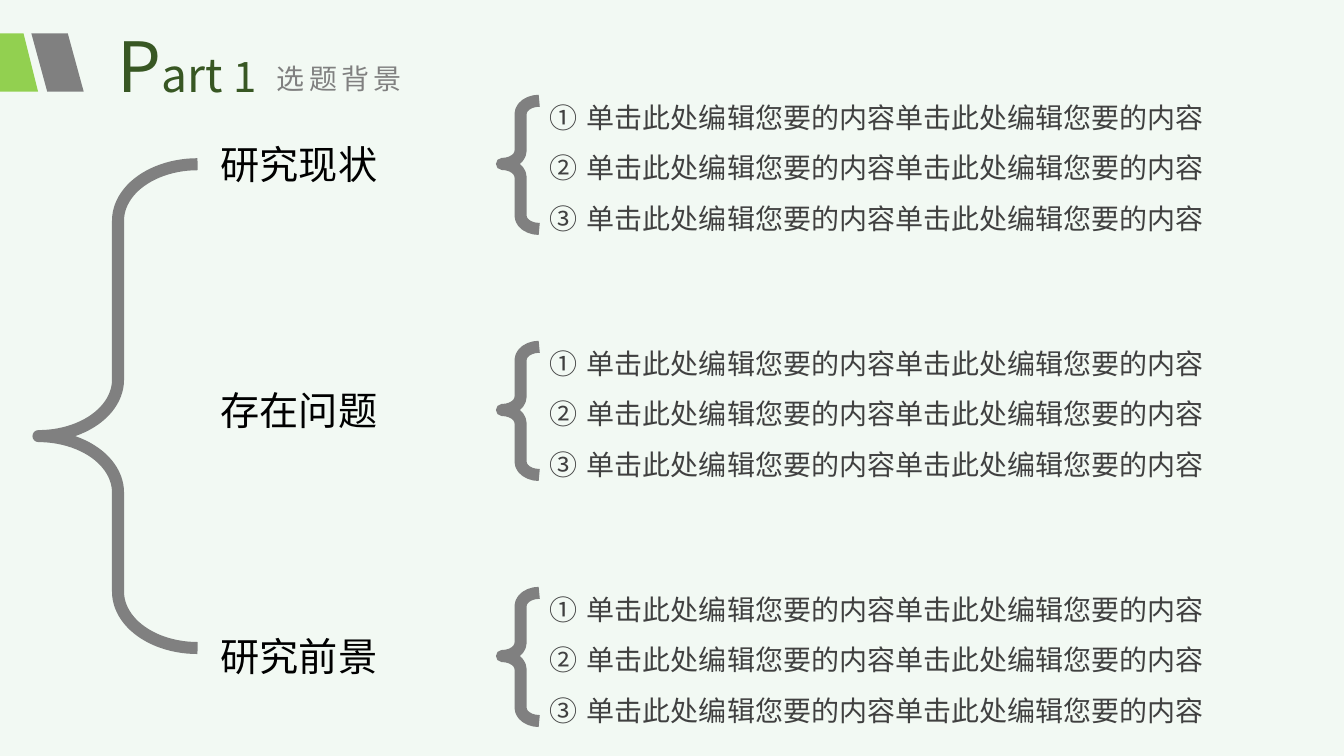
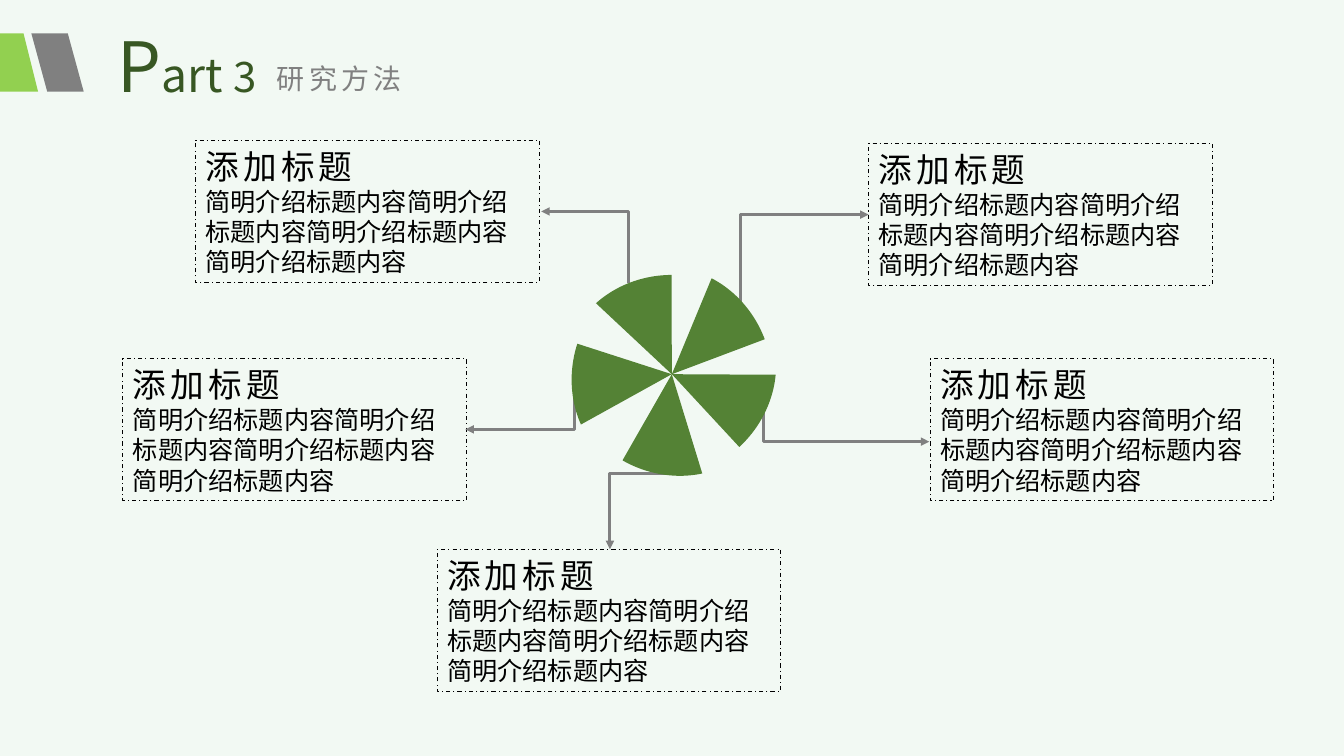
from pptx import Presentation
from pptx.dml.color import RGBColor
from pptx.enum.dml import MSO_LINE_DASH_STYLE as Dash
from pptx.enum.shapes import MSO_CONNECTOR as Link, MSO_SHAPE as Kind
from pptx.enum.text import MSO_AUTO_SIZE as Fit
from pptx.oxml.ns import qn
from pptx.util import Cm, Pt
from lxml.etree import SubElement

FONT = "Noto Sans CJK SC"
PAPER = RGBColor(0xF2, 0xF9, 0xF3)
BLACK = RGBColor(0x00, 0x00, 0x00)
DARK = RGBColor(0x40, 0x40, 0x40)
GREY = RGBColor(0x80, 0x80, 0x80)
LIME = RGBColor(0x92, 0xD0, 0x50)
LEAF = RGBColor(0x54, 0x82, 0x35)
PINE = RGBColor(0x38, 0x57, 0x23)

TOPICS = ["研究现状", "存在问题", "研究前景"]
DETAIL = "单击此处编辑您要的内容" * 2
STEP = 6.2  # between topics, in cm

HEAD = "添加标题"
BODY = "简明介绍标题内容" * 4
CARD = (8.66, 3.58)
# card corner, arrow start, arrow end, whether the arrow leaves sideways
CARDS = [
    ((21.89, 3.61), (18.67, 7.62), (21.89, 5.41), False),
    ((4.93, 3.53), (15.85, 7.14), (13.64, 5.33), False),
    ((3.1, 9.04), (14.48, 9.86), (11.73, 10.82), False),
    ((11.02, 13.84), (16.94, 11.94), (15.37, 13.84), True),
    ((23.44, 9.04), (19.25, 10.21), (23.42, 11.13), False),
]
BLADES = [0, 69.4, 137.2, 209.8, 287.9]


def style(run, size, color, gap=0):
    """Set the font of a run; gap is the letter spacing in points."""
    font = run.font
    font.size, font.name = Pt(size), FONT
    font.color.rgb = color
    props = font._element
    SubElement(props, qn("a:ea")).set("typeface", FONT)
    if gap:
        props.set("spc", str(gap * 100))


def write(frame, lines, wrap=True):
    """Fill a frame; each line is (text, size, color, gap)."""
    frame.text = "\n".join(line[0] for line in lines)
    frame.word_wrap = wrap
    frame.auto_size = Fit.SHAPE_TO_FIT_TEXT
    for para, line in zip(frame.paragraphs, lines):
        style(para.runs[0], *line[1:])


def number(para, indent, start=1):
    """Give a paragraph a circled automatic number."""
    props = para._p.get_or_add_pPr()
    props.set("marL", str(Cm(indent)))
    props.set("indent", str(-Cm(indent)))
    SubElement(props, qn("a:buFont")).set("typeface", "+mj-ea")
    auto = SubElement(props, qn("a:buAutoNum"))
    auto.set("type", "circleNumDbPlain")
    if start > 1:
        auto.set("startAt", str(start))


def text_box(shapes, box):
    return shapes.add_textbox(*map(Cm, box)).text_frame


def draw(shapes, kind, box, fill=None, line=None, width=1, adjust=()):
    shape = shapes.add_shape(kind, *map(Cm, box))
    shape.shadow.inherit = False
    for i, value in enumerate(adjust):
        shape.adjustments[i] = value
    for part, color in ((shape.fill, fill), (shape.line.fill, line)):
        if color is None:
            part.background()
        else:
            part.solid()
            part.fore_color.rgb = color
    if line is not None:
        shape.line.width = Pt(width)
    return shape


def brace(shapes, box, point):
    draw(shapes, Kind.LEFT_BRACE, box, line=GREY, width=8.6,
         adjust=(0.354, point))


def arrow(shapes, start, end, side):
    """Draw an elbow that turns at once: up or down first, or sideways."""
    (x1, y1), (x2, y2) = start, end
    if side:  # frame before a quarter turn about its middle
        mx, my = (x1 + x2) / 2, (y1 + y2) / 2
        dx, dy = (x2 - x1) / 2, (y2 - y1) / 2
        x1, y1, x2, y2 = mx - dy, my + dx, mx + dy, my - dx
    elbow = shapes.add_connector(Link.ELBOW, *map(Cm, (x1, y1, x2, y2)))
    props = elbow._element.spPr
    if side:
        props.find(qn("a:xfrm")).set("rot", "5400000")
    guide = SubElement(props.find(qn("a:prstGeom")).find(qn("a:avLst")),
                       qn("a:gd"))
    guide.set("name", "adj1")
    guide.set("fmla", "val 0")
    elbow.line.color.rgb = GREY
    elbow.line.width = Pt(2)
    SubElement(elbow.line._get_or_add_ln(), qn("a:tailEnd")).set(
        "type", "triangle")
    SubElement(props, qn("a:effectLst"))


def new_slide(deck, part, name):
    """Add a slide with the shared heading."""
    slide = deck.slides.add_slide(deck.slide_layouts[6])
    shapes = slide.shapes.add_group_shape().shapes
    para = text_box(shapes, (2.72, 0.46, 8.05, 2.36)).paragraphs[0]
    for text, size in (("P", 49.5), ("art ", 33), (part, 30)):
        run = para.add_run()
        run.text = text
        style(run, size, PINE)
    write(text_box(shapes, (6.73, 1.42, 4.95, 1.12)), [(name, 20, GREY, 3)])
    draw(shapes, Kind.TRAPEZOID, (-0.97, 0.84, 1.93, 1.47), LIME)
    slant = draw(shapes, Kind.PARALLELOGRAM, (0.79, 0.84, 1.32, 1.47), GREY,
                 adjust=(0.304,))
    slant._element.spPr.find(qn("a:xfrm")).set("flipV", "1")
    return slide.shapes


def topic_slide(deck):
    shapes = new_slide(deck, "1", "选题背景")
    brace(shapes, (0.97, 4.14, 4.01, 12.19), 0.562)
    for i, topic in enumerate(TOPICS):
        down = i * STEP
        label = text_box(shapes, (5.31, 3.4 + down, 5.94, 1.45))
        number(label.paragraphs[0], 1.43, i + 1)
        write(label, [(topic, 28, BLACK)], wrap=False)
        brace(shapes, (12.65, 2.54 + down, 0.94, 3.23), 0.493)
        notes = text_box(shapes, (13.59, 1.98 + down, 17.27, 3.96))
        write(notes, [(DETAIL, 20, DARK)] * 3)
        for para in notes.paragraphs:
            number(para, 0.95)
            para.line_spacing = 1.5


def method_slide(deck):
    shapes = new_slide(deck, "3", "研究方法")
    for corner, start, end, side in CARDS:
        card = draw(shapes, Kind.RECTANGLE, corner + CARD, line=BLACK,
                    width=0.75)
        card.line.dash_style = Dash.DASH_DOT
        write(card.text_frame, [(HEAD, 24, BLACK, 3), (BODY, 18, BLACK)])
        for para in card.text_frame.paragraphs:
            para.alignment = 1
        arrow(shapes, start, end, side)
    wheel = shapes.add_group_shape().shapes
    for turn in BLADES:
        blade = draw(wheel, Kind.PIE, (14.2, 6.93, 5.46, 5), LEAF,
                     adjust=(133.867, 162))
        blade.rotation = turn


def main():
    deck = Presentation()
    deck.slide_width, deck.slide_height = Cm(33.87), Cm(19.05)
    paper = deck.slide_master.background.fill
    paper.solid()
    paper.fore_color.rgb = PAPER
    topic_slide(deck)
    method_slide(deck)
    deck.save("out.pptx")


if __name__ == "__main__":
    main()
